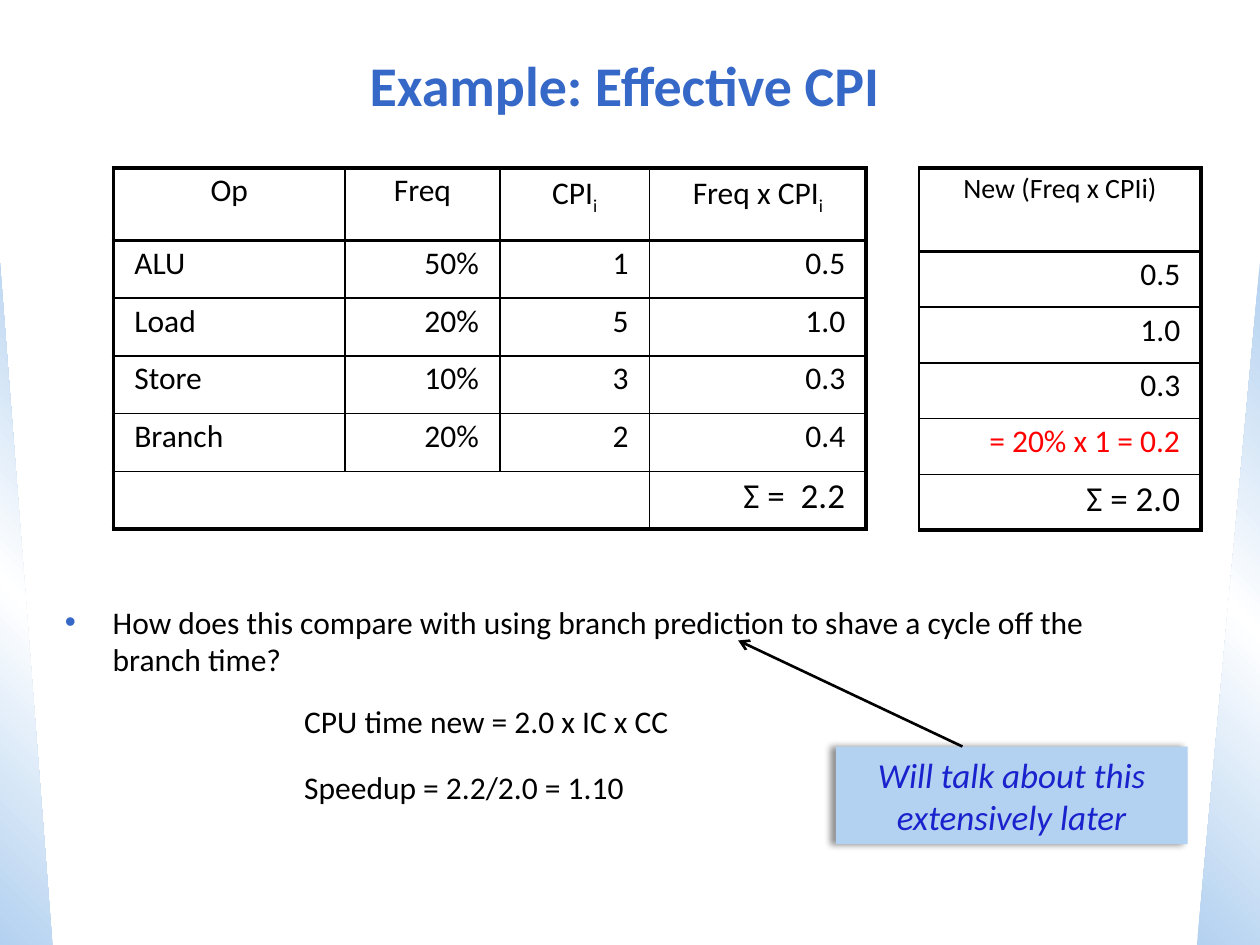
from collections import namedtuple
from dataclasses import dataclass

from lxml import etree
from pptx import Presentation
from pptx.dml.color import RGBColor as RGB
from pptx.enum.shapes import MSO_CONNECTOR as CONN, MSO_SHAPE as SHAPE
from pptx.enum.text import MSO_ANCHOR as ANCHOR, PP_ALIGN as ALIGN
from pptx.oxml import parse_xml
from pptx.util import Inches, Pt

NS = "http://schemas.openxmlformats.org/drawingml/2006/main"
Box = namedtuple("Box", "x y w h")  # in grid units: 120 columns by 90 rows


@dataclass(frozen=True)
class Theme:
    font: str = "Calibri"
    ink: str = "000000"
    title: str = "3568C7"
    pale: str = "B3D1F0"
    white: str = "FFFFFF"
    accent: str = "FF0000"
    note: str = "1822CD"
    title_size: float = 32
    large: float = 20
    body: float = 18
    small: float = 16
    thick: float = 2.25
    thin: float = 1


T = Theme()


def grid(n):
    return Inches(n / 12)


def place(box):
    return [grid(n) for n in box]


def xml(body):
    """Parse one DrawingML element, written with the a: prefix."""
    tag, rest = body.split(" ", 1)
    return parse_xml(f'{tag} xmlns:a="{NS}" {rest}')


def style(p, size=T.body, color=T.ink, bold=False, italic=False, align=None):
    p.alignment = align
    for r in p.runs:
        f = r.font
        f.name, f.size, f.bold, f.italic = T.font, Pt(size), bold, italic
        f.color.rgb = RGB.from_string(color)


def add_text(s, box, lines, anchor=ANCHOR.TOP, **look):
    tf = s.shapes.add_textbox(*place(box)).text_frame
    tf.word_wrap = True
    tf.vertical_anchor = anchor
    tf.text = "\n".join(lines)
    for p in tf.paragraphs:
        style(p, **look)
    return tf


def side_wedge(s, box, angle, flip=False):
    sp = s.shapes.add_shape(SHAPE.RIGHT_TRIANGLE, *place(box))
    sp.shadow.inherit = False
    sp.line.fill.background()
    sp.fill.gradient()
    gradient = sp._element.spPr.find(f"{{{NS}}}gradFill")
    stops = "".join(
        f'<a:gs pos="{pos}"><a:srgbClr val="{color}"/></a:gs>'
        for pos, color in ((0, T.pale), (50000, T.white), (100000, T.pale)))
    gradient.getparent().replace(gradient, xml(
        f'<a:gradFill rotWithShape="1"><a:gsLst>{stops}</a:gsLst>'
        f'<a:lin ang="{angle * 60000}" scaled="0"/></a:gradFill>'))
    if flip:
        sp._element.spPr.find(f"{{{NS}}}xfrm").set("flipH", "1")


def set_borders(cell, left, right, top, bottom):
    tcPr = cell._tc.get_or_add_tcPr()
    for i, (side, width) in enumerate(zip("LRTB", (left, right, top, bottom))):
        tcPr.insert(i, xml(
            f'<a:ln{side} w="{Pt(width)}"><a:solidFill><a:srgbClr val="{T.ink}"/>'
            f'</a:solidFill></a:ln{side}>'))


def fill_cell(cell, text, **look):
    """Write text; whatever follows an underscore becomes a subscript."""
    cell.margin_left = cell.margin_right = grid(2)
    cell.fill.background()
    p = cell.text_frame.paragraphs[0]
    p.line_spacing = 0.9
    base, _, sub = text.partition("_")
    p.add_run().text = base
    if sub:
        r = p.add_run()
        r.text = sub
        r._r.get_or_add_rPr().set("baseline", "-25000")
    style(p, **look)


def cpi_table(s, box, rows, cols, head, left, head_size=T.body, red=(), span=1):
    """Draw a ruled table; cols are column shares, head is the header's share."""
    n, last = len(rows), len(cols) - 1
    tb = s.shapes.add_table(n, len(cols), *place(box)).table
    tb.first_row = tb.horz_banding = False
    for col, share in zip(tb.columns, cols):
        col.width = grid(box.w * share / sum(cols))
    for i, row in enumerate(tb.rows):
        row.height = grid(box.h * (head if i == 0 else (1 - head) / (n - 1)))
    for i, values in enumerate(rows):
        for j, value in enumerate(values):
            cell = tb.cell(i, j)
            if i == 0:
                align = ALIGN.CENTER
            else:
                align = ALIGN.LEFT if last and j == 0 else ALIGN.RIGHT
            size = head_size if i == 0 else T.large if i == n - 1 else T.body
            fill_cell(cell, value, size=size, align=align,
                      color=T.accent if i in red else T.ink)
            set_borders(cell,
                        left if j == 0 else T.thin,
                        T.thick if j == last else T.thin,
                        T.thick if i < 2 else T.thin,
                        T.thick if i in (0, n - 1) else T.thin)
    if span > 1:
        tb.cell(n - 1, 0).merge(tb.cell(n - 1, span - 1))


def question(s, box, text):
    tf = add_text(s, box, [text])
    tf.margin_right = grid(2.4)
    pPr = tf.paragraphs[0]._p.get_or_add_pPr()
    pPr.set("marL", str(Inches(0.38)))
    pPr.set("indent", str(-Inches(0.38)))
    color = etree.SubElement(pPr, f"{{{NS}}}buClr")
    etree.SubElement(color, f"{{{NS}}}srgbClr", val=T.title)
    etree.SubElement(pPr, f"{{{NS}}}buFont", typeface="Arial")
    etree.SubElement(pPr, f"{{{NS}}}buChar", char="•")


def results(s, box, lines):
    for p in add_text(s, box, lines).paragraphs:
        p.line_spacing = 1.75


def callout(s, box, text, target):
    """Draw a shaded note with an arrow from its top edge to the target."""
    sp = s.shapes.add_shape(SHAPE.RECTANGLE, *place(box))
    sp.shadow.inherit = False
    sp._element.spPr.find(f"{{{NS}}}effectLst").append(xml(
        f'<a:outerShdw blurRad="{Pt(4)}" dist="{Pt(3)}" dir="10800000" rotWithShape="0">'
        f'<a:srgbClr val="{T.ink}"><a:alpha val="43000"/></a:srgbClr></a:outerShdw>'))
    sp.fill.solid()
    sp.fill.fore_color.rgb = RGB.from_string(T.pale)
    sp.line.fill.background()
    tf = sp.text_frame
    tf.word_wrap = True
    tf.text = text
    style(tf.paragraphs[0], T.large, T.note, italic=True, align=ALIGN.CENTER)
    start = (box.x + box.w * 0.36, box.y)
    line = s.shapes.add_connector(CONN.STRAIGHT, *place(start + target))
    line.line.color.rgb = RGB.from_string(T.ink)
    line.line.width = Pt(1.5)
    line.line._get_or_add_ln().append(xml('<a:tailEnd type="arrow"/>'))
    etree.SubElement(line._element.spPr, f"{{{NS}}}effectLst")


def main():
    prs = Presentation()
    prs.slide_width, prs.slide_height = grid(120), grid(90)
    s = prs.slides.add_slide(prs.slide_layouts[6])
    side_wedge(s, Box(0, 25, 5, 65), 315)
    side_wedge(s, Box(114, 25, 6, 65), 45, flip=True)
    add_text(s, Box(3, 3, 113, 10), ["Example: Effective CPI"], ANCHOR.MIDDLE,
             size=T.title_size, color=T.title, bold=True, align=ALIGN.CENTER)
    cpi_table(s, Box(10.8, 16, 71.7, 34.4), [
        ("Op", "Freq", "CPI_i", "Freq x CPI_i"),
        ("ALU", "50%", "1", "0.5"),
        ("Load", "20%", "5", "1.0"),
        ("Store", "10%", "3", "0.3"),
        ("Branch", "20%", "2", "0.4"),
        ("", "", "", "Σ =  2.2"),
    ], cols=(1.84, 1.23, 1.19, 1.72), head=0.2, left=T.thick, span=3)
    question(s, Box(5, 56.8, 108, 27.7),
             "How does this compare with using branch prediction to shave a cycle "
             "off the branch time?")
    results(s, Box(27.8, 63.6, 42.5, 13.4),
            ["CPU time new = 2.0 x IC x CC", "Speedup = 2.2/2.0 = 1.10"])
    new_values = ("New (Freq x CPIi)", "0.5", "1.0", "0.3", "= 20% x 1 = 0.2", "Σ = 2.0")
    cpi_table(s, Box(87.5, 16, 26.9, 34.5), [(v,) for v in new_values],
              cols=(1,), head=0.23, left=T.thin, head_size=T.small, red=(4,))
    callout(s, Box(79.6, 71.1, 33.5, 9.3), "Will talk about this extensively later",
            target=(70.3, 61))
    prs.save("out.pptx")


if __name__ == "__main__":
    main()
